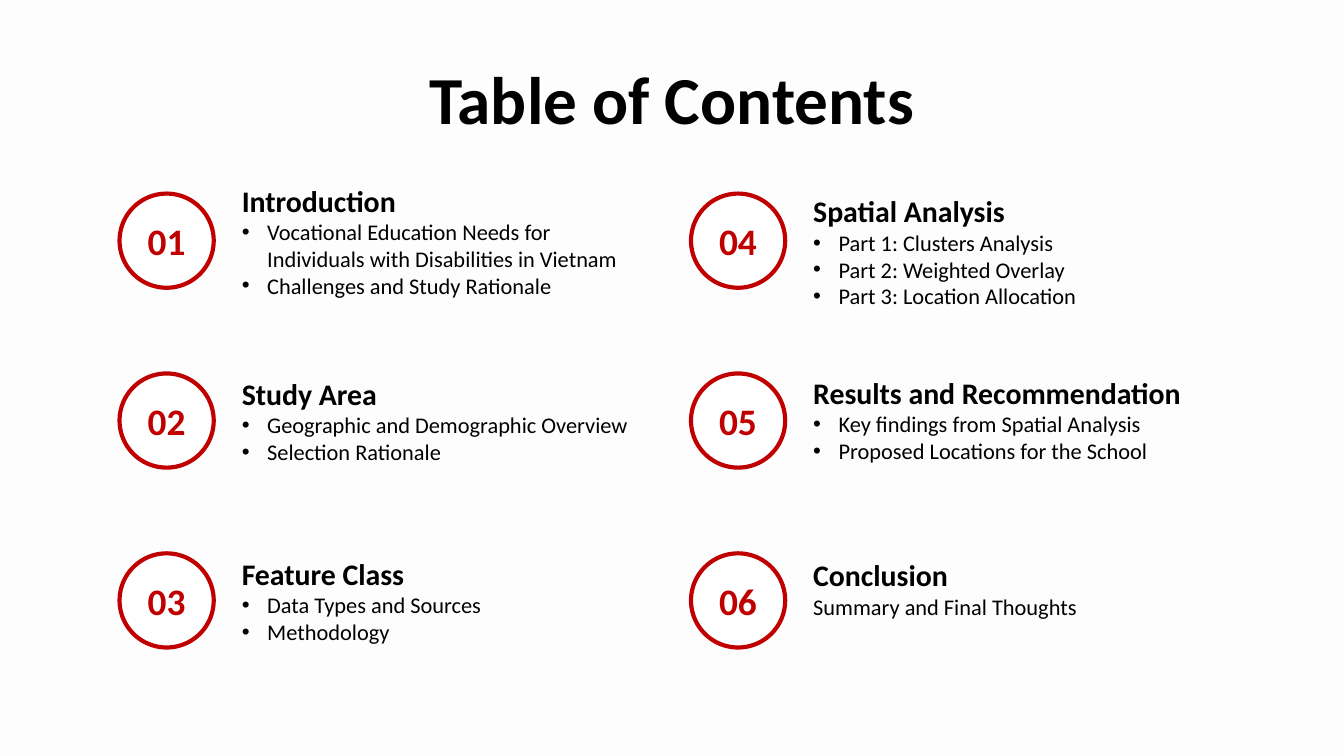
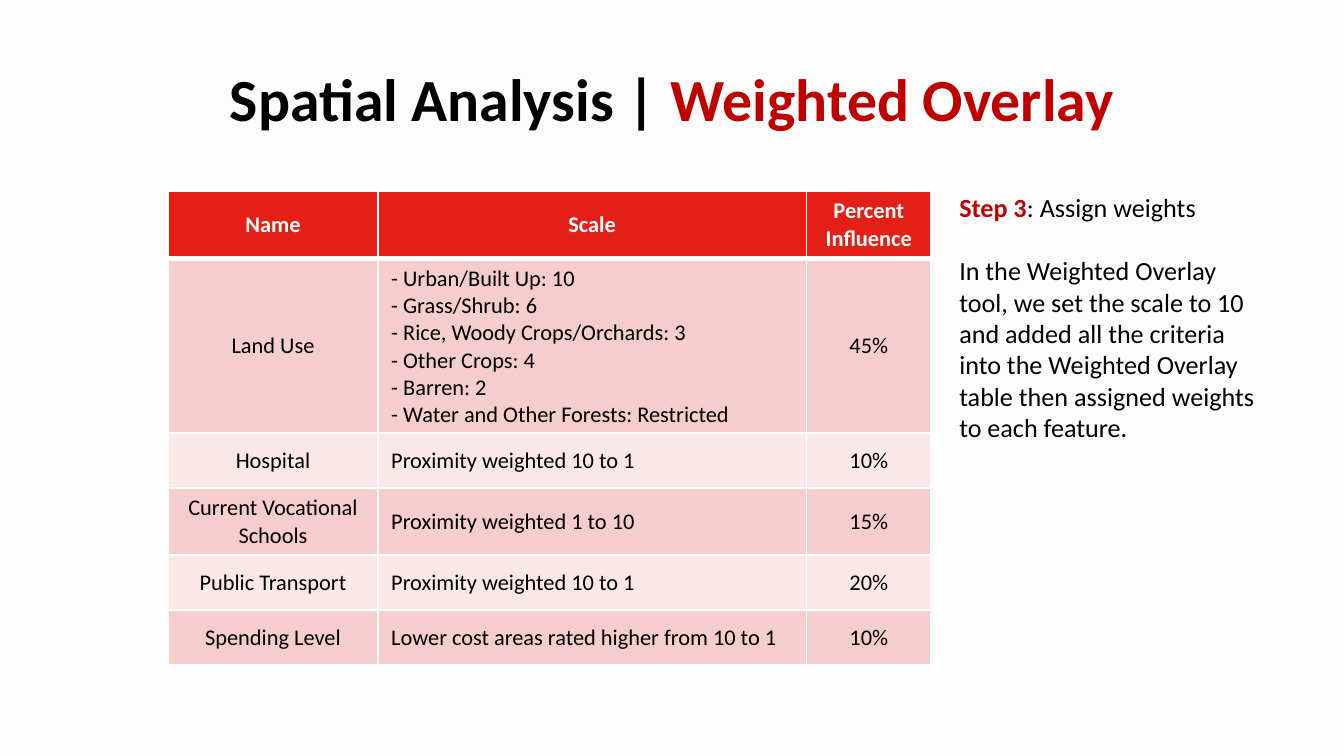
from lxml.etree import SubElement
from pptx import Presentation
from pptx.dml.color import RGBColor
from pptx.enum.shapes import MSO_SHAPE as Shape
from pptx.enum.text import MSO_ANCHOR as Anchor, PP_ALIGN as Align
from pptx.oxml import parse_xml
from pptx.oxml.ns import nsdecls, qn
from pptx.util import Cm, Pt

FONT = "Calibri"
COLORS = {
    "page": "FDFDFD",
    "white": "FFFFFF",
    "text": "000000",
    "accent": "C00000",
    "header": "E42016",
    "band_dark": "F5CDCC",
    "band_light": "FAE8E8",
}
SLIDE_WIDTH, SLIDE_HEIGHT = 25.4, 14.29
INSET = 0.25

# Contents grid, in cm
CIRCLE_LEFT, CIRCLE_TOP, CIRCLE_SIZE = 2.26, 3.66, 1.78
COLUMN_STEP, ROW_STEP, TEXT_OFFSET = 10.8, 3.4, 2.06
ROWS_PER_COLUMN = 3

# Heading, items, bulleted, and the text box's top, width and height
SECTIONS = [
    ("Introduction",
     ["Vocational Education Needs for Individuals with Disabilities in Vietnam",
      "Challenges and Study Rationale"], True, (2.97, 7.67, 3.15)),
    ("Study Area",
     ["Geographic and Demographic Overview", "Selection Rationale"],
     True, (6.96, 8.41, 1.98)),
    ("Feature Class", ["Data Types and Sources", "Methodology"],
     True, (10.36, 8.41, 1.98)),
    ("Spatial Analysis",
     ["Part 1: Clusters Analysis", "Part 2: Weighted Overlay",
      "Part 3: Location Allocation"], True, (3.3, 6.83, 2.9)),
    ("Results and Recommendation",
     ["Key findings from Spatial Analysis", "Proposed Locations for the School"],
     True, (6.93, 8.41, 1.98)),
    ("Conclusion", ["Summary and Final Thoughts"], False, (10.13, 8.41, 1.98)),
]

WEIGHTS = [
    ("Name", ["Scale"], "Percent Influence"),
    ("Land Use",
     ["- Urban/Built Up: 10", "- Grass/Shrub: 6",
      "- Rice, Woody Crops/Orchards: 3", "- Other Crops: 4", "- Barren: 2",
      "- Water and Other Forests: Restricted"], "45%"),
    ("Hospital", ["Proximity weighted 10 to 1"], "10%"),
    ("Current Vocational Schools", ["Proximity weighted 1 to 10"], "15%"),
    ("Public Transport", ["Proximity weighted 10 to 1"], "20%"),
    ("Spending Level", ["Lower cost areas rated higher from 10 to 1"], "10%"),
]
COLUMN_WIDTHS = [3.96, 8.1, 2.36]
ROW_HEIGHTS = [1.27, 3.3, 1.04, 1.27, 1.04, 1.04]


def rgb(name):
    return RGBColor.from_string(COLORS[name])


def style_font(font, size, color="text", bold=False):
    font.name = FONT
    font.size = Pt(size)
    font.bold = bold
    font.color.rgb = rgb(color)


def set_frame(frame):
    frame.word_wrap = True
    frame.vertical_anchor = Anchor.MIDDLE
    frame.margin_left = frame.margin_right = Cm(INSET)
    frame.margin_top = frame.margin_bottom = Cm(INSET)


def add_box(page, left, top, width, height):
    frame = page.shapes.add_textbox(
        Cm(left), Cm(top), Cm(width), Cm(height)).text_frame
    set_frame(frame)
    return frame


def next_para(frame):
    """Return the empty first paragraph, or a new one."""
    first = frame.paragraphs[0]
    return frame.add_paragraph() if first.runs else first


def add_para(frame, text, size, color="text", bold=False, align=Align.LEFT,
             bullet=False):
    para = next_para(frame)
    para.alignment = align
    if bullet:
        add_bullet(para)
    style_font(para.font, size, color, bold)
    para.add_run().text = text
    return para


def add_spans(frame, spans, size, align=Align.LEFT):
    """Write one paragraph of (text, colour, bold) spans."""
    para = next_para(frame)
    para.alignment = align
    for text, color, bold in spans:
        span = para.add_run()
        span.text = text
        style_font(span.font, size, color, bold)


def add_bullet(para):
    props = para._p.get_or_add_pPr()
    props.set("marL", str(Cm(0.48)))
    props.set("indent", str(-Cm(0.48)))
    color = SubElement(props, qn("a:buClr"))
    SubElement(color, qn("a:srgbClr"), val=COLORS["text"])
    SubElement(props, qn("a:buFont"), typeface="Arial")
    SubElement(props, qn("a:buChar"), char="•")


def add_page(deck):
    return deck.slides.add_slide(deck.slide_layouts[6])


def add_title(page, spans, size, width):
    frame = add_box(page, (SLIDE_WIDTH - width) / 2, 0.84, width, 2.01)
    add_spans(frame, [(text, color, True) for text, color in spans],
              size, Align.CENTER)


def add_number(page, number, left, top):
    circle = page.shapes.add_shape(
        Shape.OVAL, Cm(left), Cm(top), Cm(CIRCLE_SIZE), Cm(CIRCLE_SIZE))
    circle.shadow.inherit = False
    circle.fill.solid()
    circle.fill.fore_color.rgb = rgb("white")
    circle.line.color.rgb = rgb("accent")
    circle.line.width = Pt(2.25)
    set_frame(circle.text_frame)
    add_para(circle.text_frame, f"{number:02}", 20, "accent", True, Align.CENTER)


def add_section(page, index, heading, items, bulleted, place):
    column, row = divmod(index, ROWS_PER_COLUMN)
    left = CIRCLE_LEFT + column * COLUMN_STEP
    add_number(page, index + 1, left, CIRCLE_TOP + row * ROW_STEP)
    frame = add_box(page, left + TEXT_OFFSET, *place)
    add_para(frame, heading, 16, bold=True)
    for item in items:
        add_para(frame, item, 12, bullet=bulleted)


def set_borders(cell, top, bottom):
    props = cell._tc.get_or_add_tcPr()
    sides = [("lnL", 1), ("lnR", 1), ("lnT", top), ("lnB", bottom)]
    for position, (side, width) in enumerate(sides):
        props.insert(position, parse_xml(
            f'<a:{side} {nsdecls("a")} w="{Pt(width)}"><a:solidFill>'
            f'<a:srgbClr val="{COLORS["page"]}"/></a:solidFill></a:{side}>'))


def fill_cell(cell, lines, row, centred):
    header = row == 0
    band = "header" if header else "band_dark" if row % 2 else "band_light"
    cell.fill.solid()
    cell.fill.fore_color.rgb = rgb(band)
    cell.vertical_anchor = Anchor.MIDDLE
    set_borders(cell, top=3 if row == 1 else 1, bottom=3 if header else 1)
    for line in lines:
        add_para(cell.text_frame, line, 12, "page" if header else "text",
                 header, Align.CENTER if centred else Align.LEFT)


def add_weights_table(page, left, top):
    table = page.shapes.add_table(
        len(WEIGHTS), len(COLUMN_WIDTHS), Cm(left), Cm(top),
        Cm(sum(COLUMN_WIDTHS)), Cm(sum(ROW_HEIGHTS))).table
    for column, width in zip(table.columns, COLUMN_WIDTHS):
        column.width = Cm(width)
    for row, (name, scale, percent) in enumerate(WEIGHTS):
        table.rows[row].height = Cm(ROW_HEIGHTS[row])
        for column, lines in enumerate([[name], scale, [percent]]):
            fill_cell(table.cell(row, column), lines, row,
                      centred=row == 0 or column != 1)


def build_contents(deck):
    page = add_page(deck)
    add_title(page, [("Table of Contents", "text")], 36, 11.28)
    for index, section in enumerate(SECTIONS):
        add_section(page, index, *section)


def build_overlay(deck):
    page = add_page(deck)
    add_title(page, [("Spatial Analysis | ", "text"),
                     ("Weighted Overlay", "accent")], 32, 21.44)
    # Step description
    frame = add_box(page, 17.88, 3.48, 6.2, 5.03)
    add_spans(frame, [("Step 3", "accent", True),
                      (": Assign weights", "text", False)], 14)
    body = add_para(
        frame, "In the Weighted Overlay tool, we set the scale to 10 and added "
        "all the criteria into the Weighted Overlay table then assigned "
        "weights to each feature.", 14)
    body.space_before = Pt(17)
    # Criteria weights
    add_weights_table(page, 3.18, 3.61)


def main():
    deck = Presentation()
    deck.slide_width, deck.slide_height = Cm(SLIDE_WIDTH), Cm(SLIDE_HEIGHT)
    # Shared background
    backdrop = deck.slide_master.background.fill
    backdrop.solid()
    backdrop.fore_color.rgb = rgb("page")
    build_contents(deck)
    build_overlay(deck)
    deck.save("out.pptx")


if __name__ == "__main__":
    main()
